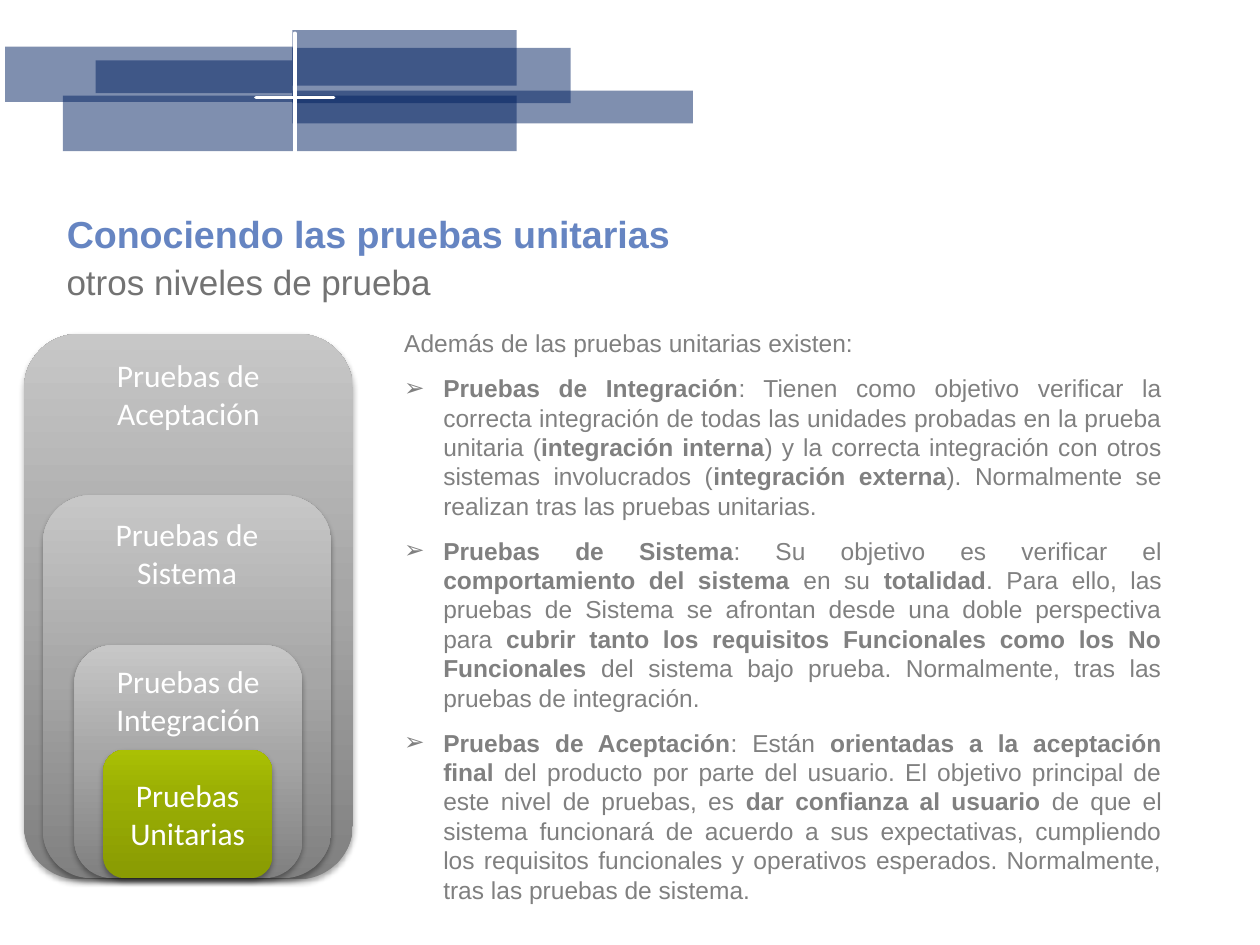
import pptx
import pptx.util
import pptx.dml.color
import pptx.enum.shapes
import pptx.enum.text
import pptx.oxml
import pptx.oxml.ns

Inches = pptx.util.Inches
Pt = pptx.util.Pt
RGBColor = pptx.dml.color.RGBColor
SHAPE = pptx.enum.shapes.MSO_SHAPE
ALIGN = pptx.enum.text.PP_ALIGN
ANCHOR = pptx.enum.text.MSO_ANCHOR
SIZING = pptx.enum.text.MSO_AUTO_SIZE
qn = pptx.oxml.ns.qn
NS = pptx.oxml.ns.nsdecls("a")

NAVY = RGBColor(0x00, 0x20, 0x60)
LIME = RGBColor(0x9A, 0xC1, 0x04)
WHITE = RGBColor(0xFF, 0xFF, 0xFF)
BLUE = RGBColor(0x66, 0x85, 0xC2)
SLATE = RGBColor(0x73, 0x73, 0x73)
GRAY = RGBColor(0x80, 0x80, 0x80)
BLACK = RGBColor(0x00, 0x00, 0x00)
GRAYS = [(0, GRAY), (52, RGBColor(0xA6, 0xA6, 0xA6)), (100, RGBColor(0xC7, 0xC7, 0xC7))]
GREENS = [(0, RGBColor(0x89, 0x9B, 0x03)), (65, RGBColor(0x9A, 0xAE, 0x04)),
          (100, RGBColor(0xAA, 0xC0, 0x04))]

HEAD = {"size": Pt(21.5), "name": "Arial", "bold": True}
SUB = {"size": Pt(20), "name": "Arial", "bold": False}
BODY = {"size": Pt(14), "name": "Arial"}
LABEL = {"size": Pt(18), "name": "Calibri"}

BARS = [
    (0.04, 0.37, 2.3, 0.44),
    (0.5, 0.76, 1.83, 0.44),
    (2.32, 0.24, 1.78, 0.44),
    (2.34, 0.76, 1.76, 0.44),
    (2.32, 0.72, 3.18, 0.26),
    (0.76, 0.48, 1.56, 0.26),
    (2.32, 0.38, 2.21, 0.44),
]
LEVELS = [
    ("Pruebas de Aceptación", (0.19, 2.65, 2.61, 4.33), GRAYS, ANCHOR.TOP),
    ("Pruebas de Sistema", (0.34, 3.93, 2.29, 3.04), GRAYS, ANCHOR.TOP),
    ("Pruebas de Integración", (0.59, 5.12, 1.81, 1.85), GRAYS, ANCHOR.TOP),
    ("Pruebas Unitarias", (0.82, 5.95, 1.34, 1.02), GREENS, ANCHOR.MIDDLE),
]
INTRO = "Además de las pruebas unitarias existen:"
ITEMS = [
    "**Pruebas de Integración**: Tienen como objetivo verificar la correcta integración "
    "de todas las unidades probadas en la prueba unitaria (**integración interna**) y la "
    "correcta integración con otros sistemas involucrados (**integración externa**). "
    "Normalmente se realizan tras las pruebas unitarias.",
    "**Pruebas de Sistema**: Su objetivo es verificar el **comportamiento del sistema** "
    "en su **totalidad**. Para ello, las pruebas de Sistema se afrontan desde una doble "
    "perspectiva para **cubrir tanto los requisitos Funcionales como los No Funcionales** "
    "del sistema bajo prueba. Normalmente, tras las pruebas de integración.",
    "**Pruebas de Aceptación**: Están **orientadas a la aceptación final **del producto "
    "por parte del usuario. El objetivo principal de este nivel de pruebas, es **dar "
    "confianza al usuario **de que el sistema funcionará de acuerdo a sus expectativas, "
    "cumpliendo los requisitos funcionales y operativos esperados. Normalmente, tras las "
    "pruebas de sistema.",
]


def style(item, form):
    for key, value in form.items():
        setattr(item, key, value)


def paint(font, form, color):
    style(font, form)
    font.color.rgb = color


def add_shape(slide, kind, box):
    shape = slide.shapes.add_shape(kind, *map(Inches, box))
    shape.shadow.inherit = False
    return shape


def add_bar(slide, box):
    bar = add_shape(slide, SHAPE.RECTANGLE, box)
    bar.fill.solid()
    bar.fill.fore_color.rgb = NAVY
    bar.line.fill.background()
    tint = bar._element.spPr.find(".//" + qn("a:srgbClr"))
    tint.append(pptx.oxml.parse_xml(f'<a:alpha {NS} val="50000"/>'))


def add_cross(slide):
    cross = add_shape(slide, SHAPE.MATH_PLUS, (1.92, 0.08, 0.84, 1.39))
    cross.adjustments[0] = 0
    cross.fill.solid()
    cross.fill.fore_color.rgb = LIME
    cross.line.color.rgb = WHITE
    cross.line.width = Pt(2)


def shade(shape, stops):
    shape.fill.gradient()
    shape.fill.gradient_angle = 90
    props = shape._element.spPr
    ramp = props.find(".//" + qn("a:gsLst"))
    for stop in list(ramp):
        ramp.remove(stop)
    for pos, color in stops:
        ramp.append(pptx.oxml.parse_xml(
            f'<a:gs {NS} pos="{pos * 1000}"><a:srgbClr val="{color}"/></a:gs>'))
    props.find(qn("a:effectLst")).append(pptx.oxml.parse_xml(
        f'<a:outerShdw {NS} blurRad="{Pt(3.1)}" dist="{Pt(1.8)}" dir="5400000" '
        f'rotWithShape="0"><a:srgbClr val="{BLACK}"><a:alpha val="35000"/>'
        '</a:srgbClr></a:outerShdw>'))


def add_level(slide, text, box, stops, anchor):
    level = add_shape(slide, SHAPE.ROUNDED_RECTANGLE, box)
    shade(level, stops)
    level.line.fill.background()
    frame = level.text_frame
    style(frame, {"text": text, "word_wrap": True, "vertical_anchor": anchor})
    para = frame.paragraphs[0]
    para.alignment = ALIGN.CENTER
    paint(para.font, LABEL, WHITE)


def set_head(slide):
    title = slide.shapes.title
    style(title, dict(zip(("left", "top", "width", "height"),
                          map(Inches, (0.43, 1.62, 9.06, 0.47)))))
    frame = title.text_frame
    style(frame, {"text": "Conociendo las pruebas unitarias", "word_wrap": True,
                  "auto_size": SIZING.NONE, "vertical_anchor": ANCHOR.MIDDLE})
    para = frame.paragraphs[0]
    para.alignment = ALIGN.LEFT
    paint(para.font, HEAD, BLUE)


def add_text(slide, box, anchor):
    frame = slide.shapes.add_textbox(*map(Inches, box)).text_frame
    style(frame, {"word_wrap": True, "vertical_anchor": anchor})
    return frame


def add_sub(slide):
    frame = add_text(slide, (0.43, 2.02, 9.06, 0.47), ANCHOR.TOP)
    frame.text = "otros niveles de prueba"
    paint(frame.paragraphs[0].font, SUB, SLATE)


def fill_para(para, text):
    style(para, {"alignment": ALIGN.JUSTIFY, "space_after": Pt(6)})
    for place, part in enumerate(text.split("**")):
        if part:
            run = para.add_run()
            run.text = part
            paint(run.font, BODY, GRAY)
            run.font.bold = place % 2 == 1


def add_item(frame, text):
    para = frame.add_paragraph()
    para.space_before = Pt(2.8)
    fill_para(para, text)
    props = para._p.get_or_add_pPr()
    props.set("marL", str(Inches(0.31)))
    props.set("indent", str(-Inches(0.31)))
    props.append(pptx.oxml.parse_xml(f'<a:buFont {NS} typeface="Arial"/>'))
    props.append(pptx.oxml.parse_xml(f'<a:buChar {NS} char="➢"/>'))


def add_body(slide):
    frame = add_text(slide, (3.11, 2.49, 6.21, 4.8), ANCHOR.MIDDLE)
    style(frame, {"margin_top": 0, "margin_bottom": 0})
    fill_para(frame.paragraphs[0], INTRO)
    for text in ITEMS:
        add_item(frame, text)


def main():
    deck = pptx.Presentation()
    style(deck, {"slide_width": Inches(10), "slide_height": Inches(7.5)})
    slide = deck.slides.add_slide(deck.slide_layouts[5])
    for box in BARS:
        add_bar(slide, box)
    add_cross(slide)
    set_head(slide)
    add_sub(slide)
    for level in LEVELS:
        add_level(slide, *level)
    add_body(slide)
    deck.save("out.pptx")


if __name__ == "__main__":
    main()
